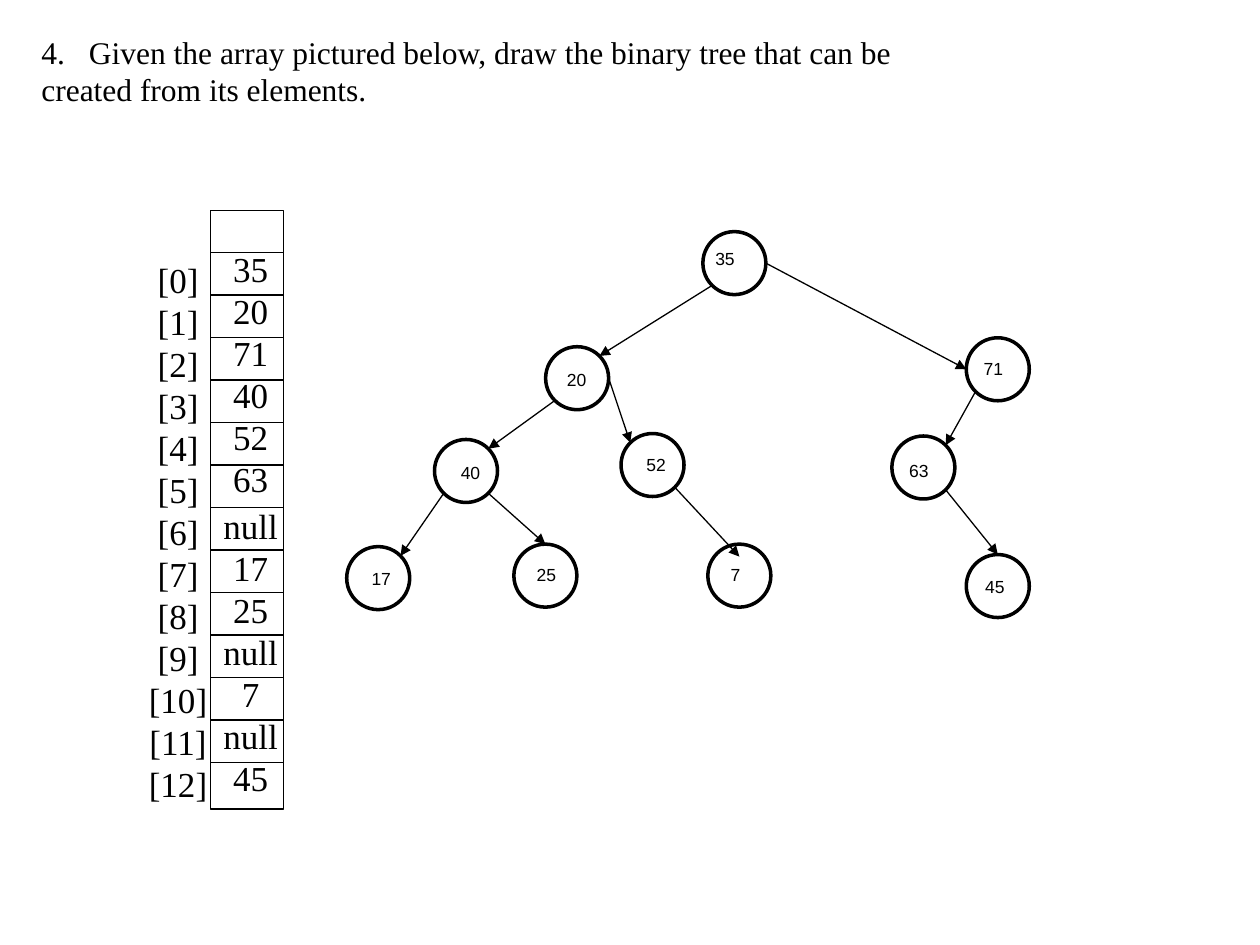
"""Build a slide that turns an array into its binary tree."""
from math import cos, radians, sin

from lxml.etree import SubElement
from pptx import Presentation
from pptx.dml.color import RGBColor
from pptx.enum.shapes import MSO_CONNECTOR, MSO_SHAPE
from pptx.enum.text import MSO_ANCHOR, MSO_AUTO_SIZE, PP_ALIGN
from pptx.oxml.ns import qn
from pptx.util import Cm, Pt

COLORS = {"ink": "000000"}
QUESTION = [
    "Given the array pictured below, draw the binary tree that can be",
    "created from its elements.",
]
VALUES = ["35", "20", "71", "40", "52", "63", "null",
          "17", "25", "null", "7", "null", "45"]
ARRAY_LEFT, ARRAY_TOP, ARRAY_WIDTH, ARRAY_HEIGHT = 4.24, 4.24, 1.47, 12.07
FIRST_DIVIDER, LAST_DIVIDER = 5.09, 15.37
DIAMETER = 1.27
NODES = {
    "35": (14.17, 4.67, 0, 0.21),
    "20": (11, 6.99, 0.18, 0.33),
    "71": (19.48, 6.81, 0.1, 0.28),
    "40": (8.76, 8.86, 0.28, 0.33),
    "52": (12.52, 8.74, 0.26, 0.28),
    "63": (17.98, 8.79, 0.1, 0.35),
    "45": (19.48, 11.18, 0.13, 0.3),
    "17": (6.99, 11.02, 0.25, 0.31),
    "25": (10.36, 10.97, 0.21, 0.28),
    "7": (14.27, 10.97, 0.21, 0.28),
}
RIGHT, LOWER_RIGHT, LOWER_LEFT, LEFT = 0, 45, 135, 180
UPPER_LEFT, TOP, UPPER_RIGHT = 225, 270, 315
EDGES = [
    ("35", LOWER_LEFT, "20", UPPER_RIGHT, 0),
    ("20", LOWER_LEFT, "40", UPPER_RIGHT, 0),
    ("20", RIGHT, "52", UPPER_LEFT, 0),
    ("40", LOWER_LEFT, "17", UPPER_RIGHT, 0),
    ("40", LOWER_RIGHT, "25", TOP, 0),
    ("52", LOWER_RIGHT, "7", TOP, 0.25),
    ("35", RIGHT, "71", LEFT, 0),
    ("71", LOWER_LEFT, "63", UPPER_RIGHT, 0),
    ("63", LOWER_RIGHT, "45", TOP, 0),
]


def write(frame, lines, size, font="Times New Roman", align=PP_ALIGN.LEFT,
          wrap=False, leading=None):
    """Fill a text frame with one formatted paragraph per line."""
    frame.word_wrap = wrap
    frame.auto_size = MSO_AUTO_SIZE.NONE
    frame.vertical_anchor = MSO_ANCHOR.TOP
    frame.text = "\n".join(lines)
    for paragraph in frame.paragraphs:
        paragraph.alignment = align
        if leading:
            paragraph.line_spacing = Pt(leading)
        style = paragraph.runs[0].font
        style.name, style.size = font, Pt(size)
        style.color.rgb = RGBColor.from_string(COLORS["ink"])
    return frame


def rim(node, angle, inset=0):
    """Return the point on a node's circle at a clockwise angle."""
    left, top = NODES[node][:2]
    radius, reach = DIAMETER / 2, DIAMETER / 2 - inset
    return (left + radius + reach * cos(radians(angle)),
            top + radius + reach * sin(radians(angle)))


class Board:
    """Hold the slide and its drawing style."""

    def __init__(self, deck):
        self.slide = deck.slides.add_slide(deck.slide_layouts[5])
        self.ink = RGBColor.from_string(COLORS["ink"])

    def title(self, lines, left, top, width, height, number):
        """Place the numbered question in the title placeholder."""
        heading = self.slide.shapes.title
        heading.left, heading.top = Cm(left), Cm(top)
        heading.width, heading.height = Cm(width), Cm(height)
        frame = write(heading.text_frame, lines, 18, leading=21.6)
        numbered = frame.paragraphs[0]._p.get_or_add_pPr()
        numbered.set("marL", str(Cm(0.96)))
        numbered.set("indent", str(-Cm(0.96)))
        SubElement(numbered, qn("a:buAutoNum"),
                   type="arabicPeriod", startAt=str(number))

    def text(self, lines, left, top, width, height, size, **style):
        """Add a text box and return its frame."""
        box = self.slide.shapes.add_textbox(
            Cm(left), Cm(top), Cm(width), Cm(height))
        return write(box.text_frame, lines, size, **style)

    def outline(self, kind, left, top, width, height, weight):
        """Add an unfilled shape."""
        shape = self.slide.shapes.add_shape(
            kind, Cm(left), Cm(top), Cm(width), Cm(height))
        shape.shadow.inherit = False
        shape.fill.background()
        shape.line.color.rgb = self.ink
        shape.line.width = Pt(weight)

    def line(self, start, end, arrow=False):
        """Add a straight line, with an arrowhead on request."""
        link = self.slide.shapes.add_connector(
            MSO_CONNECTOR.STRAIGHT, *(Cm(value) for value in (*start, *end)))
        link.line.color.rgb = self.ink
        link.line.width = Pt(0.75)
        if arrow:
            SubElement(link.line._get_or_add_ln(), qn("a:tailEnd"),
                       type="triangle")
        SubElement(link._element.spPr, qn("a:effectLst"))


def draw_array(board):
    """Draw the array with its indices and values."""
    board.outline(MSO_SHAPE.RECTANGLE, ARRAY_LEFT, ARRAY_TOP,
                  ARRAY_WIDTH, ARRAY_HEIGHT, 0.75)
    board.text([f"[{index}]" for index in range(len(VALUES))],
               2.74, 5.08, 1.7, 11.38, 20, align=PP_ALIGN.CENTER, leading=24)
    row_height = (LAST_DIVIDER - FIRST_DIVIDER) / (len(VALUES) - 1)
    for row in range(len(VALUES)):
        y = FIRST_DIVIDER + row * row_height
        board.line((ARRAY_LEFT, y), (ARRAY_LEFT + ARRAY_WIDTH, y))
    values = board.text(VALUES, ARRAY_LEFT, 4.01, 1.63, 12.22, 20,
                        align=PP_ALIGN.CENTER, leading=24)
    values.margin_top = Cm(0.97)
    values.paragraphs[VALUES.index("null")].space_before = Pt(3)


def draw_tree(board):
    """Draw the nodes, the edges and the node labels."""
    for left, top, _, _ in NODES.values():
        board.outline(MSO_SHAPE.FLOWCHART_CONNECTOR, left, top,
                      DIAMETER, DIAMETER, 2)
    for parent, leave, child, arrive, inset in EDGES:
        board.line(rim(parent, leave), rim(child, arrive, inset), arrow=True)
    for label, (left, top, shift, drop) in NODES.items():
        board.text([label], left + shift, top + drop, DIAMETER, 0.69, 10,
                   font="Arial", wrap=True)


def main():
    """Build and save the slide."""
    deck = Presentation()
    deck.slide_width, deck.slide_height = Cm(25.4), Cm(19.05)
    board = Board(deck)
    board.title(QUESTION, 0.58, 0.53, 17.83, 1.8, number=4)
    draw_array(board)
    draw_tree(board)
    deck.save("out.pptx")


if __name__ == "__main__":
    main()
